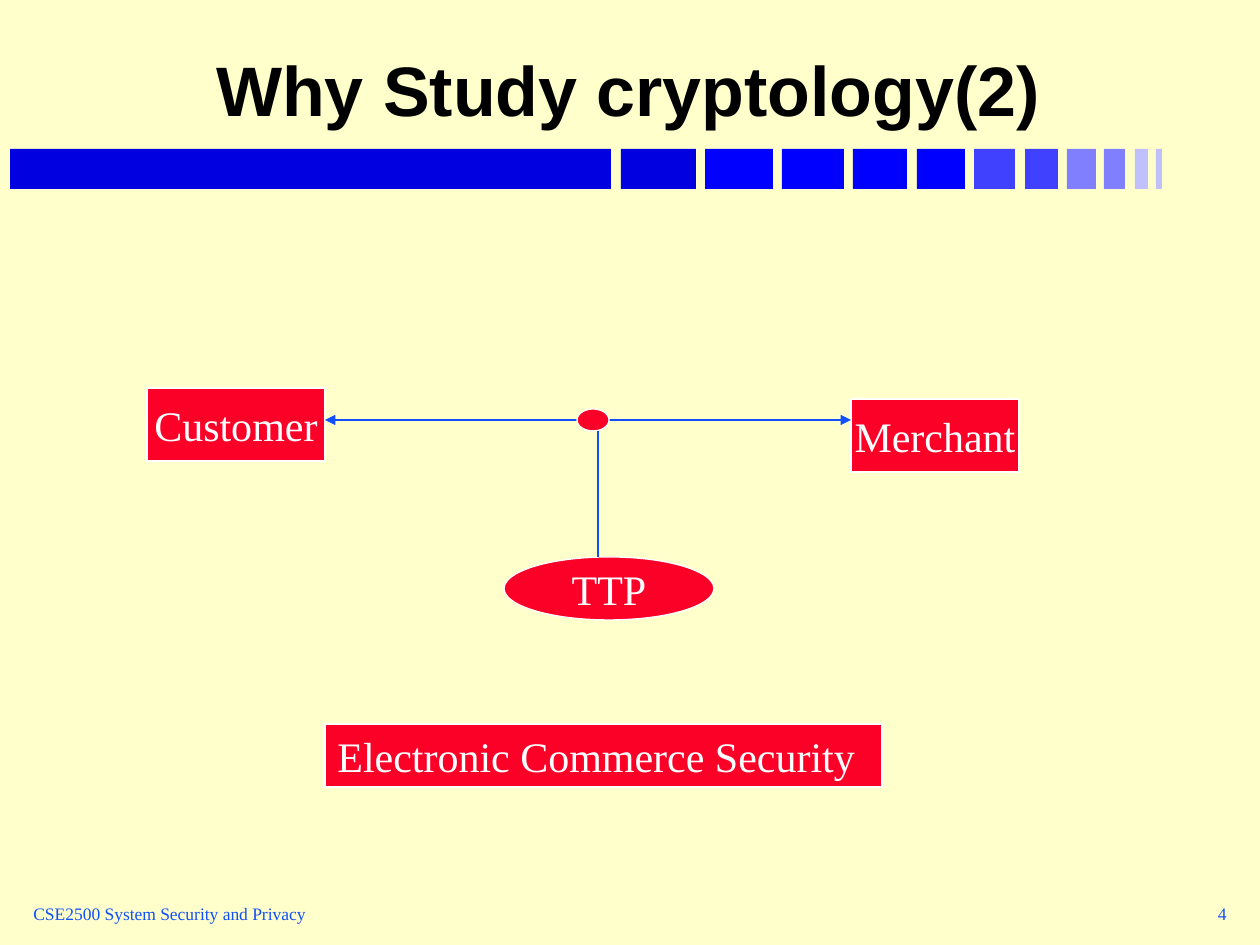
from lxml.etree import SubElement
from pptx import Presentation
from pptx.dml.color import RGBColor
from pptx.enum.shapes import MSO_CONNECTOR as Connector, MSO_SHAPE as Shape
from pptx.enum.text import MSO_ANCHOR as Anchor, PP_ALIGN as Align
from pptx.oxml.ns import qn
from pptx.util import Emu, Pt

EMU_PER_PX = 914400 / 126
COLORS = {
    "background": "FFFFCC", "title": "000000", "node": "FC0128",
    "light": "FFFFFF", "accent": "114FFB",
    "bar1": "0000E0", "bar2": "0000FF", "bar3": "4040FF",
    "bar4": "8080FF", "bar5": "C0C0FF",
}
# Left edge within the band, width, colour
BARS = [
    (0, 601, "bar1"), (611, 75, "bar1"),
    (695, 68, "bar2"), (772, 62, "bar2"), (843, 54, "bar2"), (907, 48, "bar2"),
    (964, 41, "bar3"), (1015, 33, "bar3"),
    (1057, 29, "bar4"), (1094, 21, "bar4"),
    (1125, 13, "bar5"), (1146, 6, "bar5"),
]


def px(value):
    return Emu(round(value * EMU_PER_PX))


def color(name):
    return RGBColor.from_string(COLORS[name])


def write(shape, text, size, font_color, align, anchor=Anchor.MIDDLE,
          wrap=False, font_name="Times New Roman", bold=False):
    frame = shape.text_frame
    frame.text = text
    frame.word_wrap = wrap
    frame.vertical_anchor = anchor
    paragraph = frame.paragraphs[0]
    paragraph.alignment = align
    font = paragraph.runs[0].font
    font.name, font.size, font.bold = font_name, Pt(size), bold
    font.color.rgb = color(font_color)


def add_block(slide, kind, box, fill, line_width=0):
    """Add a flat filled shape, outlined in the light colour if a width is given."""
    shape = slide.shapes.add_shape(kind, *map(px, box))
    shape.shadow.inherit = False
    shape.fill.solid()
    shape.fill.fore_color.rgb = color(fill)
    if line_width:
        shape.line.color.rgb = color("light")
        shape.line.width = Pt(line_width)
    else:
        shape.line.fill.background()
    return shape


def add_line(slide, start, end, arrows=False):
    line = slide.shapes.add_connector(Connector.STRAIGHT, *map(px, start + end))
    line.line.color.rgb = color("accent")
    line.line.width = Pt(0.75)
    if arrows:
        outline = line.line._get_or_add_ln()
        for tag in ("a:headEnd", "a:tailEnd"):
            SubElement(outline, qn(tag), type="triangle")
    SubElement(line._element.spPr, qn("a:effectLst"))


def add_title(slide, box):
    title = slide.shapes.title
    title.left, title.top, title.width, title.height = map(px, box)
    write(title, "Why Study cryptology(2)", 40, "title", Align.CENTER,
          Anchor.BOTTOM, wrap=True, font_name="Arial", bold=True)


def add_bar_band(slide, box):
    left, top, height = box
    for offset, width, fill in BARS:
        add_block(slide, Shape.RECTANGLE, (left + offset, top, width, height), fill)


def add_footer(slide, box):
    left, top, width, height = box
    number_width = 262
    parts = [
        ("CSE2500 System Security and Privacy", left, 400, Align.LEFT),
        ("4", left + width - number_width, number_width, Align.RIGHT),
    ]
    for text, part_left, part_width, align in parts:
        text_box = slide.shapes.add_textbox(
            *map(px, (part_left, top, part_width, height)))
        write(text_box, text, 10, "accent", align)


def add_trust_diagram(slide, box):
    """Customer and merchant linked through a junction to the TTP."""
    left, top, width, height = box
    customer_width, merchant_width, node_height = 178, 168, 73
    ttp_width, ttp_height = 210, 63
    merchant_left = left + width - merchant_width
    ttp_top = top + height - ttp_height
    link_y, stem_x = top + 32, left + 451

    nodes = [
        ("Customer", Shape.RECTANGLE, (left, top, customer_width, node_height)),
        ("Merchant", Shape.RECTANGLE,
         (merchant_left, top + 11, merchant_width, node_height)),
        ("TTP", Shape.OVAL, (left + 357, ttp_top, ttp_width, ttp_height)),
    ]
    for text, kind, node_box in nodes:
        node = add_block(slide, kind, node_box, "node", 0.75)
        write(node, text, 24, "light", Align.CENTER)

    add_line(slide, (left + customer_width, link_y), (merchant_left, link_y),
             arrows=True)
    add_block(slide, Shape.OVAL, (left + 430, link_y - 11, 32, 22), "node", 0.75)
    add_line(slide, (stem_x, ttp_top), (stem_x, link_y + 11))


def add_caption(slide, box):
    caption = add_block(slide, Shape.RECTANGLE, box, "node", 1)
    write(caption, "Electronic Commerce Security", 24, "light", Align.LEFT,
          Anchor.TOP, wrap=True)


def main():
    presentation = Presentation()
    presentation.slide_width, presentation.slide_height = px(1260), px(945)
    slide = presentation.slides.add_slide(presentation.slide_layouts[5])
    slide.background.fill.solid()
    slide.background.fill.fore_color.rgb = color("background")

    add_bar_band(slide, (10, 149, 40))
    add_footer(slide, (21, 882, 1218, 63))
    add_title(slide, (105, 21, 1046, 116))
    add_trust_diagram(slide, (147, 388, 872, 232))
    add_caption(slide, (325, 724, 557, 63))
    presentation.save("out.pptx")


if __name__ == "__main__":
    main()
